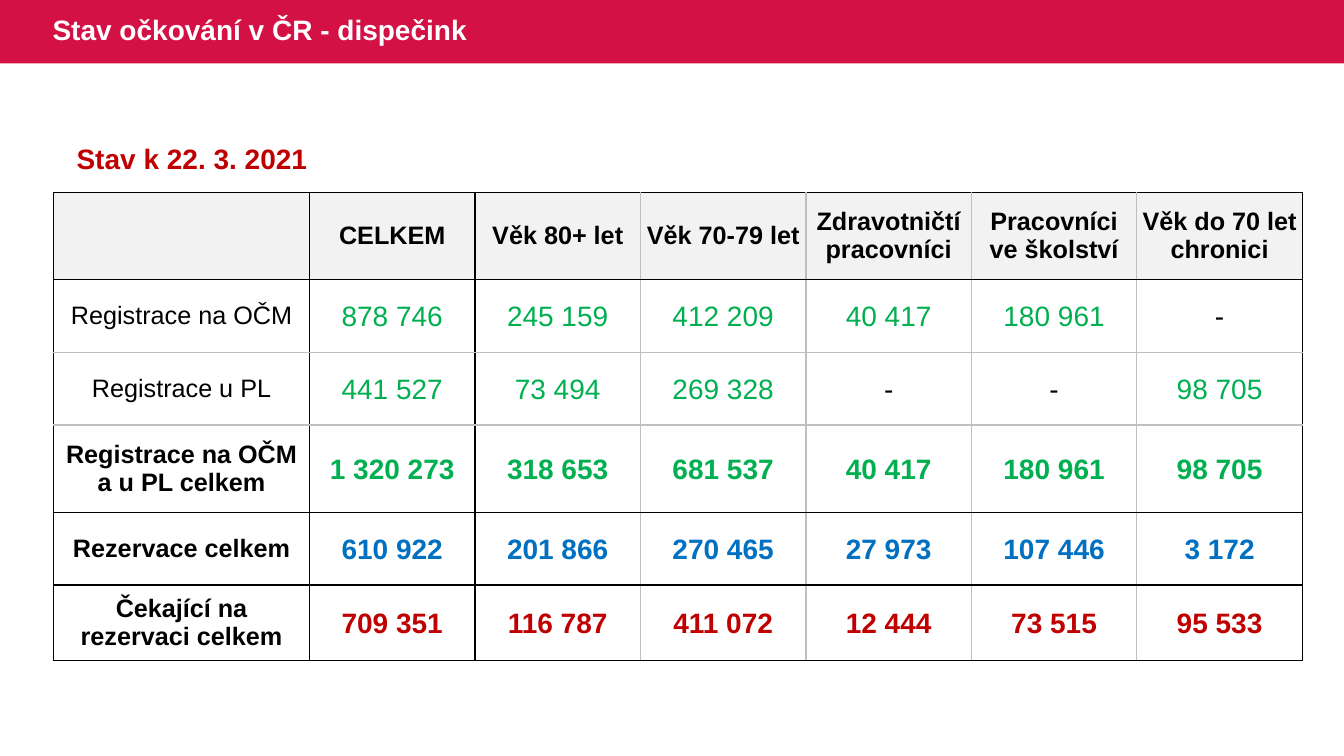
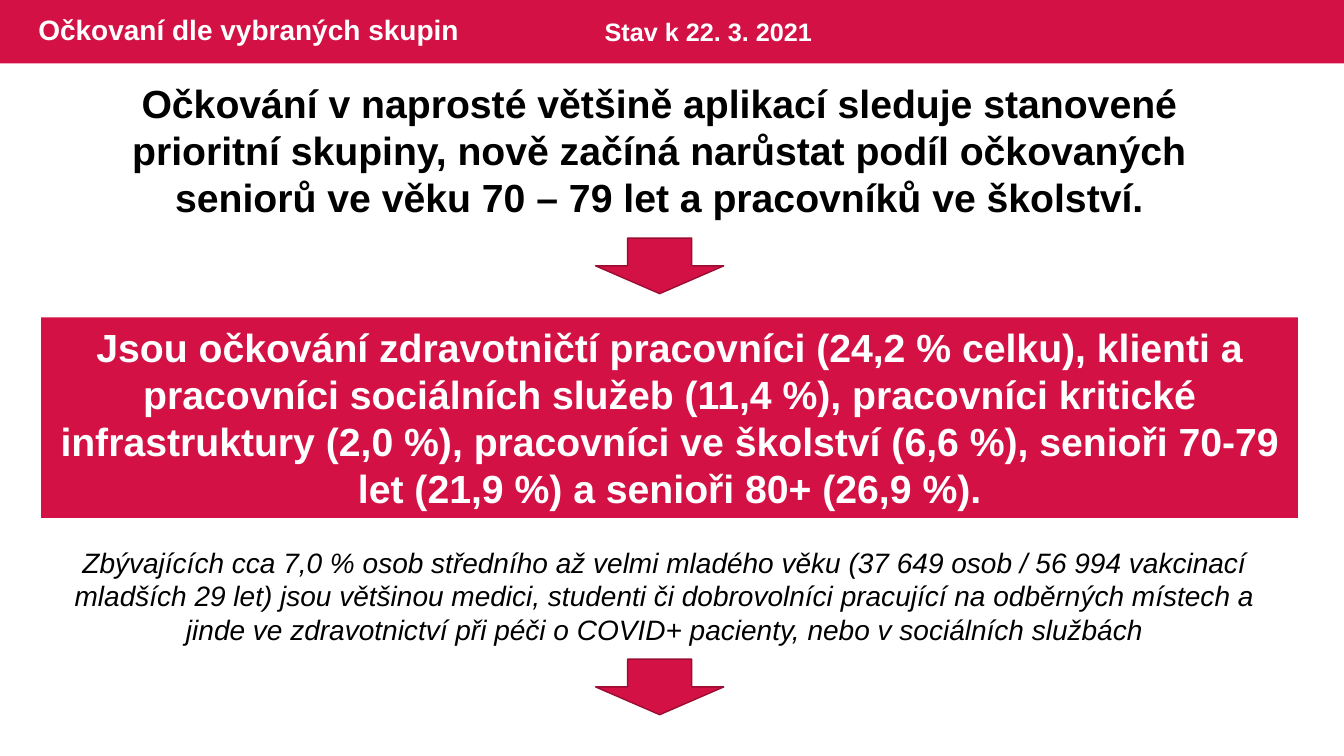
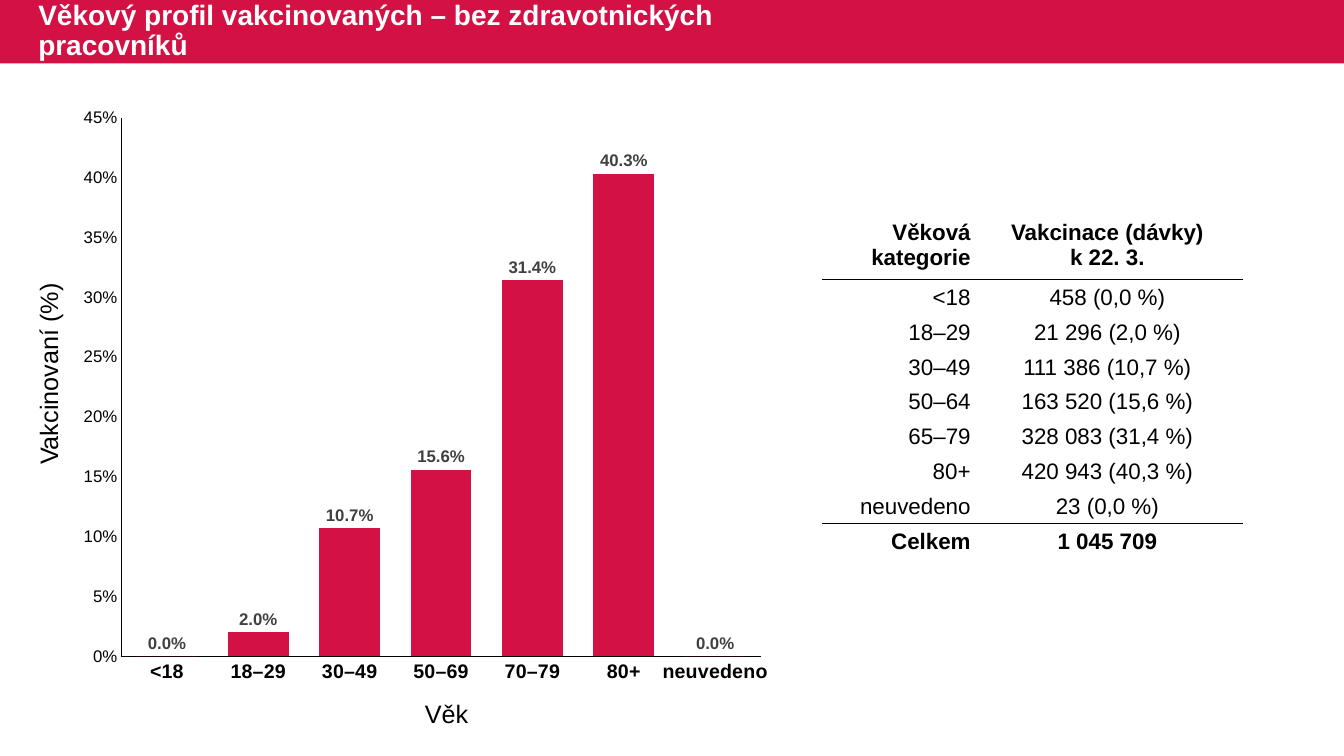
from lxml import etree
from pptx import Presentation
from pptx import util as u
from pptx.chart.data import CategoryChartData
from pptx.dml.color import RGBColor
from pptx.enum import chart as charts, shapes, text
from pptx.oxml.ns import qn

COLOURS = {
    "crimson": "D31145", "wine": "9C0D33", "red": "C00000", "green": "00B050",
    "blue": "0070C0", "black": "000000", "white": "FFFFFF", "silver": "BFBFBF",
    "pale": "F2F2F2", "charcoal": "404040",
}
RGB = {name: RGBColor.from_string(value) for name, value in COLOURS.items()}
FONT = "Arial"
PLAIN_TABLE = "{2D5ABB26-0587-4C30-8999-92F81FD0307C}"
LEFT, CENTRE, RIGHT = text.PP_ALIGN.LEFT, text.PP_ALIGN.CENTER, text.PP_ALIGN.RIGHT


def write(frame, words, size, colour, bold=False, italic=False, align=LEFT, wrap=True):
    frame.text = words
    frame.word_wrap = wrap
    for para in frame.paragraphs:
        para.alignment = align
        para.font.name = FONT
        para.font.size = u.Pt(size)
        para.font.bold = bold
        para.font.italic = italic
        para.font.color.rgb = RGB[colour]


def add_grid(page, left, top, widths, heights, black_rows, black_columns, other):
    table = page.shapes.add_table(
        len(heights), len(widths), u.Cm(left), u.Cm(top),
        u.Cm(sum(widths)), u.Cm(sum(heights))).table
    table.first_row = table.horz_banding = False
    table._tbl.tblPr.find(qn("a:tableStyleId")).text = PLAIN_TABLE
    for column, width in zip(table.columns, widths):
        column.width = u.Cm(width)
    for row, height in zip(table.rows, heights):
        row.height = u.Cm(height)
    for r in range(len(heights)):
        for c in range(len(widths)):
            cell = table.cell(r, c)
            cell.vertical_anchor = text.MSO_ANCHOR.MIDDLE
            cell.margin_left = cell.margin_right = cell.margin_top = u.Cm(0.03)
            cell.margin_bottom = 0
            edges = {"lnL": c in black_columns, "lnR": c + 1 in black_columns,
                     "lnT": r in black_rows, "lnB": r + 1 in black_rows}
            for tag, black in edges.items():
                line = etree.SubElement(cell._tc.get_or_add_tcPr(), qn("a:" + tag), w="12700")
                paint = etree.SubElement(line, qn("a:solidFill"))
                etree.SubElement(paint, qn("a:srgbClr"), val=COLOURS["black" if black else other])
            cell.fill.solid()
            cell.fill.fore_color.rgb = RGB["white"]
    return table


deck = Presentation()
deck.slide_width, deck.slide_height = u.Cm(33.87), u.Cm(19.05)
layout = deck.slide_layouts[5]
titles = [
    ("Stav očkování v ČR - dispečink", 1.07, 17),
    ("Očkovaní dle vybraných skupin", 0.71, 20.65),
    ("Věkový profil vakcinovaných – bez zdravotnických pracovníků", 0.71, 21.3),
]
pages = []
for words, left, width in titles:
    page = deck.slides.add_slide(layout)
    title = page.shapes.title
    title.left, title.top, title.width, title.height = u.Cm(left), 0, u.Cm(width), u.Cm(1.6)
    write(title.text_frame, words, 20, "white", bold=True)
    title.text_frame.auto_size = text.MSO_AUTO_SIZE.NONE
    title.text_frame.vertical_anchor = text.MSO_ANCHOR.MIDDLE
    title.text_frame.paragraphs[0].line_spacing = 0.9
    pages.append(page)
overview, groups, ages = pages

band = overview.shapes.add_shape(
    shapes.MSO_SHAPE.RECTANGLE, 0, 0, deck.slide_width, u.Cm(1.6))
band.shadow.inherit = False
band.fill.solid()
band.fill.fore_color.rgb = RGB["crimson"]
band.line.fill.background()
layout.shapes._spTree.insert(2, band._element)

status_rows = [
    ("", "CELKEM", "Věk 80+ let", "Věk 70-79 let", "Zdravotničtí pracovníci",
     "Pracovníci\nve školství", "Věk do 70 let chronici"),
    ("Registrace na OČM", "878 746", "245 159", "412 209", "40 417", "180 961", "-"),
    ("Registrace u PL", "441 527", "73 494", "269 328", "-", "-", "98 705"),
    ("Registrace na OČM a u PL celkem", "1 320 273", "318 653", "681 537", "40 417",
     "180 961", "98 705"),
    ("Rezervace celkem", "610 922", "201 866", "270 465", "27 973", "107 446", "3 172"),
    ("Čekající na rezervaci celkem", "709 351", "116 787", "411 072", "12 444", "73 515",
     "95 533"),
]
row_colours = ["black", "green", "green", "green", "blue", "red"]
status = add_grid(overview, 1.35, 4.85, [6.45] + [4.17] * 6,
                  [2.2, 1.83, 1.83, 2.2, 1.83, 1.91], {0, 1, 4, 5, 6}, {0, 1, 2, 7}, "silver")
for r, row in enumerate(status_rows):
    for c, words in enumerate(row):
        cell = status.cell(r, c)
        label = r == 0 or c == 0
        colour = "black" if label or words == "-" else row_colours[r]
        write(cell.text_frame, words, 18 if label else 20, colour,
              bold=r not in (1, 2), align=CENTRE)
        if label:
            cell.margin_left = cell.margin_right = u.Cm(0.13)
            cell.margin_top = 0
        if r == 0:
            cell.fill.fore_color.rgb = RGB["pale"]

notes = [
    (overview, (1.68, 3.43, 6.38, 1.12), 0, "Stav k 22. 3. 2021",
     dict(size=20, colour="red", bold=True, wrap=False)),
    (groups, (14.99, 0.28, 7.52, 1.02), 0, "Stav k 22. 3. 2021",
     dict(size=18, colour="white", bold=True)),
    (groups, (1.78, 1.88, 29.67, 3.84), 0,
     "Očkování v naprosté většině aplikací sleduje stanovené prioritní skupiny, nově začíná "
     "narůstat podíl očkovaných seniorů ve věku 70 – 79 let a pracovníků ve školství.",
     dict(size=28, colour="black", bold=True, align=CENTRE)),
    (groups, (0.79, 13.61, 31.93, 2.82), 0,
     "Zbývajících cca 7,0 % osob středního až velmi mladého věku (37 649 osob / 56 994 "
     "vakcinací mladších 29 let) jsou většinou medici, studenti či dobrovolníci pracující na "
     "odběrných místech a jinde ve zdravotnictví při péči o COVID+ pacienty, nebo v sociálních "
     "službách",
     dict(size=20, colour="black", italic=True, align=CENTRE)),
    (ages, (10.46, 17.48, 1.63, 1.02), 0, "Věk",
     dict(size=18, colour="black", wrap=False)),
    (ages, (-1.35, 8.89, 5.13, 1.02), 270, "Vakcinovaní (%)",
     dict(size=18, colour="black", wrap=False)),
]
for page, place, turn, words, style in notes:
    box = page.shapes.add_textbox(*map(u.Cm, place))
    box.rotation = turn
    write(box.text_frame, words, **style)

panel = groups.shapes.add_shape(
    shapes.MSO_SHAPE.RECTANGLE, u.Cm(1.04), u.Cm(8), u.Cm(31.67), u.Cm(5.05))
panel.line.fill.background()
write(panel.text_frame,
      "Jsou očkování zdravotničtí pracovníci (24,2 % celku), klienti a pracovníci sociálních "
      "služeb (11,4 %), pracovníci kritické infrastruktury (2,0 %), pracovníci ve školství "
      "(6,6 %), senioři 70-79 let (21,9 %) a senioři 80+ (26,9 %).",
      28, "white", bold=True, align=CENTRE)
arrows = [groups.shapes.add_shape(
    shapes.MSO_SHAPE.DOWN_ARROW, u.Cm(15.01), u.Cm(top), u.Cm(3.23), u.Cm(1.4))
    for top in (6, 16.61)]
for arrow in arrows:
    arrow.line.color.rgb = RGB["wine"]
    arrow.line.width = u.Pt(1)
for shape in [panel] + arrows:
    shape.shadow.inherit = False
    shape.fill.solid()
    shape.fill.fore_color.rgb = RGB["crimson"]

shares = CategoryChartData(number_format="0.0%")
shares.categories = ["<18", "18–29", "30–49", "50–69", "70–79", "80+", "neuvedeno"]
shares.add_series("Series 1", [0, 0.02, 0.107, 0.156, 0.314, 0.403, 0])
chart = ages.shapes.add_chart(
    charts.XL_CHART_TYPE.COLUMN_CLUSTERED, u.Cm(1.75), u.Cm(2.44), u.Cm(17.96), u.Cm(15.06),
    shares).chart
chart.has_legend = chart.has_title = False
chart.font.name = FONT
chart.font.size = u.Pt(10)
plot = chart.plots[0]
plot.vary_by_categories = False
plot.gap_width, plot.overlap = 50, -27
bars = plot.series[0].format.fill
bars.solid()
bars.fore_color.rgb = RGB["crimson"]
plot.has_data_labels = True
labels = plot.data_labels
labels.show_value = True
labels.number_format, labels.number_format_is_linked = "0.0%", False
labels.position = charts.XL_LABEL_POSITION.OUTSIDE_END
value_axis, category_axis = chart.value_axis, chart.category_axis
value_axis.minimum_scale, value_axis.maximum_scale, value_axis.major_unit = 0, 0.45, 0.05
value_axis.tick_labels.number_format = "0%"
value_axis.tick_labels.number_format_is_linked = False
for axis in (value_axis, category_axis):
    axis.has_major_gridlines = False
    axis.major_tick_mark = axis.minor_tick_mark = charts.XL_TICK_MARK.NONE
    axis.format.line.color.rgb = RGB["black"]
    axis.format.line.width = u.Pt(0.75)
for font, size, colour, bold in [
    (value_axis.tick_labels.font, 12, "black", False),
    (category_axis.tick_labels.font, 14, "black", True),
    (labels.font, 12, "charcoal", True),
]:
    font.name, font.size, font.bold = FONT, u.Pt(size), bold
    font.color.rgb = RGB[colour]

dose_rows = [
    ("Věková kategorie", "Vakcinace (dávky)\nk 22. 3."),
    ("<18", "458 (0,0 %)"),
    ("18–29", "21 296 (2,0 %)"),
    ("30–49", "111 386 (10,7 %)"),
    ("50–64", "163 520 (15,6 %)"),
    ("65–79", "328 083 (31,4 %)"),
    ("80+", "420 943 (40,3 %)"),
    ("neuvedeno", "23 (0,0 %)"),
    ("Celkem", "1 045 709"),
]
doses = add_grid(ages, 20.73, 5.31, [3.76, 6.83], [1.73] + [0.88] * 8, {1, 8}, set(), "white")
for r, row in enumerate(dose_rows):
    for c, words in enumerate(row):
        write(doses.cell(r, c).text_frame, words, 16, "black",
              bold=r in (0, len(dose_rows) - 1), align=(RIGHT, CENTRE)[c])

deck.save("out.pptx")
